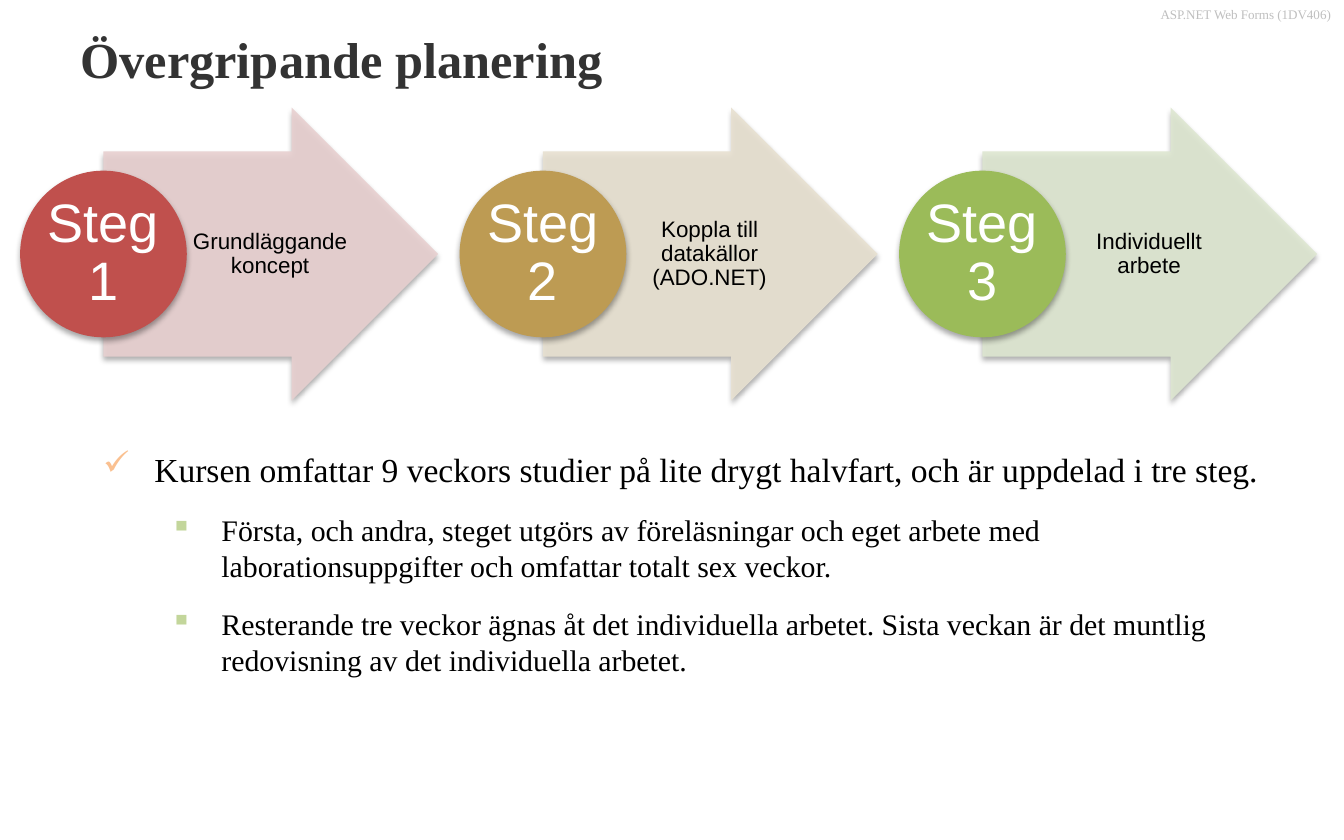
"""Build the course planning slide with three steps and a bullet summary."""
from lxml.etree import SubElement
from pptx import Presentation
from pptx.dml.color import RGBColor
from pptx.enum.shapes import MSO_SHAPE as Shape
from pptx.enum.text import MSO_ANCHOR as Anchor, PP_ALIGN as Align
from pptx.oxml.ns import qn
from pptx.util import Inches, Pt

SERIF, SANS = "Times New Roman", "Arial"
HEADER = "ASP.NET Web Forms (1DV406)"
TITLE = "Övergripande planering"
STEPS = [
    ("Steg 1", "Grundläggande koncept", "C0504D", "E8D0D0"),
    ("Steg 2", "Koppla till datakällor (ADO.NET)", "BD9B53", "E8E1D1"),
    ("Steg 3", "Individuellt arbete", "9BBB59", "DEE7D1"),
]
BULLETS = [
    (0, "Kursen omfattar 9 veckors studier på lite drygt halvfart, "
        "och är uppdelad i tre steg."),
    (1, "Första, och andra, steget utgörs av föreläsningar och eget arbete med "
        "laborationsuppgifter och omfattar totalt sex veckor."),
    (1, "Resterande tre veckor ägnas åt det individuella arbetet. "
        "Sista veckan är det muntlig redovisning av det individuella arbetet."),
]
LEVELS = [("✓", "FAC090", 0.38, 18), ("▪", "C3D69B", 0.88, 16)]
HANGING = 0.38
STEP_LEFT, STEP_PITCH = 0.15, 3.27
CIRCLE_TOP, CIRCLE_SIZE = 1.27, 1.24
CIRCLE_PAD = 0.18
ARROW_TOP, ARROW_WIDTH, ARROW_HEIGHT = 0.8, 2.49, 2.18


def color(value):
    return RGBColor.from_string(value)


def style(paragraph, size, font, ink, bold=False):
    paragraph.font.size = Pt(size)
    paragraph.font.name = font
    paragraph.font.bold = bold
    paragraph.font.color.rgb = color(ink)


def add_box(page, place, insets=(0.1, 0.05, 0.1, 0.05), anchor=Anchor.TOP):
    frame = page.shapes.add_textbox(*map(Inches, place)).text_frame
    frame.word_wrap = True
    frame.vertical_anchor = anchor
    (frame.margin_left, frame.margin_top,
     frame.margin_right, frame.margin_bottom) = map(Inches, insets)
    return frame


def add_label(page, place, insets, text, size, ink):
    para = add_box(page, place, insets, Anchor.MIDDLE).paragraphs[0]
    para.text = text
    para.alignment = Align.CENTER
    para.line_spacing = 0.9
    style(para, size, SANS, ink)


def add_shadowed(page, kind, place, fill):
    shape = page.shapes.add_shape(kind, *map(Inches, place))
    shape.fill.solid()
    shape.fill.fore_color.rgb = color(fill)
    shape.line.fill.background()
    effects = SubElement(shape._element.spPr, qn("a:effectLst"))
    shadow = SubElement(effects, qn("a:outerShdw"), blurRad=str(Pt(3.1)),
                        dist=str(Pt(1.8)), dir="5400000", rotWithShape="0")
    ink = SubElement(shadow, qn("a:srgbClr"), val="000000")
    SubElement(ink, qn("a:alpha"), val="35000")
    return shape


def add_step(page, left, name, topic, strong, pale):
    arrow_left = left + CIRCLE_SIZE / 2
    arrow = add_shadowed(page, Shape.RIGHT_ARROW,
                         (arrow_left, ARROW_TOP, ARROW_WIDTH, ARROW_HEIGHT), pale)
    arrow.adjustments[0], arrow.adjustments[1] = 0.7, 0.5
    fill = arrow._element.spPr.find(qn("a:solidFill"))
    SubElement(fill[0], qn("a:alpha"), val="90000")
    add_label(page, (left + CIRCLE_SIZE + 0.01, 1.13, 1.21, 1.52),
              (0.03, 0.01, 0.02, 0.01), topic, 12, "000000")
    add_shadowed(page, Shape.OVAL,
                 (left, CIRCLE_TOP, CIRCLE_SIZE, CIRCLE_SIZE), strong)
    inner = CIRCLE_SIZE - 2 * CIRCLE_PAD
    add_label(page, (left + CIRCLE_PAD, CIRCLE_TOP + CIRCLE_PAD, inner, inner),
              (0.02,) * 4, name, 29, "FFFFFF")


def add_bullet(para, level, text):
    mark, mark_color, indent, size = LEVELS[level]
    para.text = text
    para.level = level
    props = para._p.get_or_add_pPr()
    props.set("marL", str(Inches(indent)))
    props.set("indent", str(Inches(-HANGING)))
    tint = SubElement(props, qn("a:buClr"))
    SubElement(tint, qn("a:srgbClr"), val=mark_color)
    SubElement(props, qn("a:buChar"), char=mark)
    style(para, size, SERIF, "000000")


def main():
    deck = Presentation()
    deck.slide_width, deck.slide_height = Inches(10), Inches(6.25)
    page = deck.slides.add_slide(deck.slide_layouts[6])

    header = add_box(page, (5.42, 0, 4.58, 0.34)).paragraphs[0]
    header.text = HEADER
    header.alignment = Align.RIGHT
    style(header, 7, SERIF, "BFBFBF")

    title = add_box(page, (0.5, 0.11, 9, 0.65), (0.1,) * 4, Anchor.BOTTOM).paragraphs[0]
    title.text = TITLE
    style(title, 27, SERIF, "333333", bold=True)

    summary = add_box(page, (0.67, 3.29, 9, 2.62))
    for index, (level, text) in enumerate(BULLETS):
        para = summary.add_paragraph() if index else summary.paragraphs[0]
        if index:
            para.space_before = Pt(12)
        add_bullet(para, level, text)

    for index, step in enumerate(STEPS):
        add_step(page, STEP_LEFT + index * STEP_PITCH, *step)

    deck.save("out.pptx")


if __name__ == "__main__":
    main()
